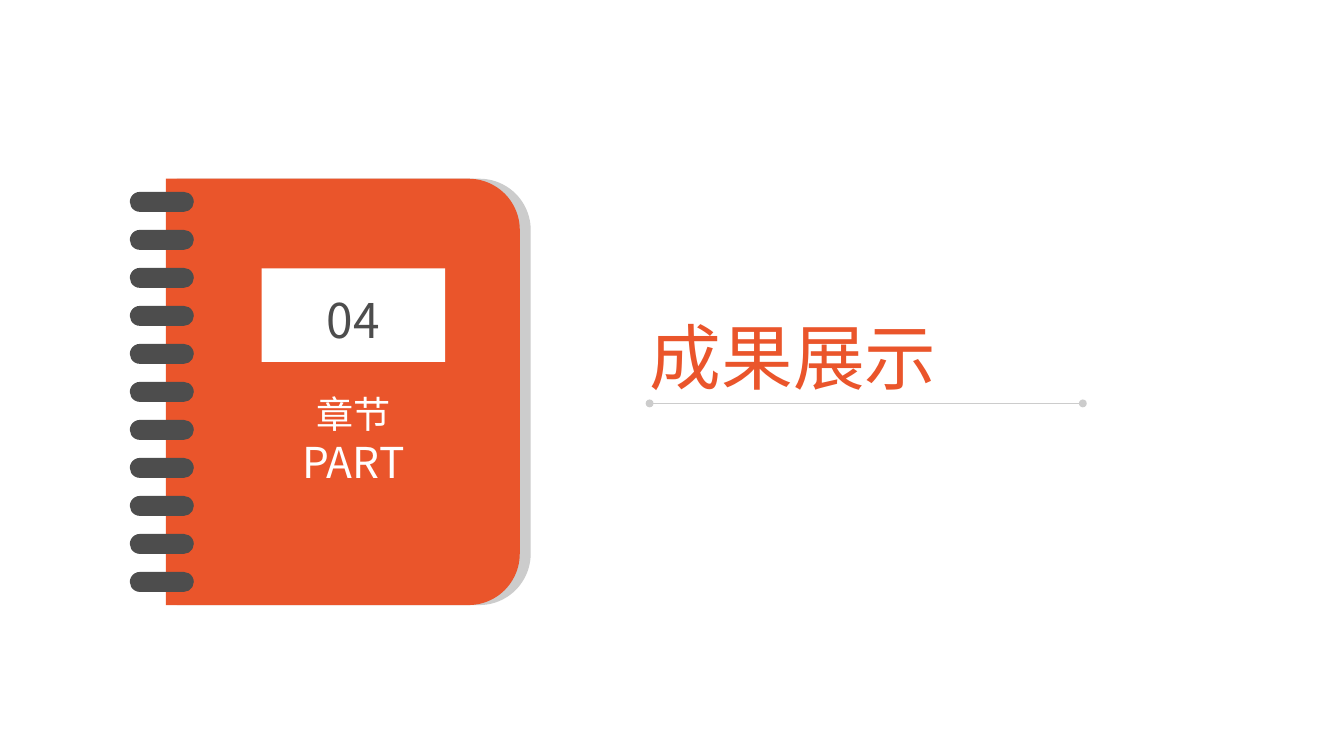
from dataclasses import dataclass

from lxml.etree import SubElement
from pptx import Presentation
from pptx.dml.color import RGBColor
from pptx.enum.shapes import MSO_CONNECTOR, MSO_SHAPE
from pptx.enum.text import MSO_ANCHOR, MSO_AUTO_SIZE, PP_ALIGN
from pptx.oxml.ns import qn
from pptx.util import Cm, Pt


@dataclass(frozen=True)
class Theme:
    orange: RGBColor = RGBColor(0xEA, 0x55, 0x2B)
    gray: RGBColor = RGBColor(0xCC, 0xCC, 0xCC)
    dark: RGBColor = RGBColor(0x4D, 0x4D, 0x4D)
    white: RGBColor = RGBColor(0xFF, 0xFF, 0xFF)
    font: str = "Noto Sans CJK SC"
    title_size: int = 54
    number_size: int = 36
    chapter_size: int = 28
    part_size: int = 32


theme = Theme()


def add_filled(kind, left, top, width, height, color):
    shape = slide.shapes.add_shape(kind, Cm(left), Cm(top), Cm(width), Cm(height))
    shape.shadow.inherit = False
    shape.fill.solid()
    shape.fill.fore_color.rgb = color
    shape.line.fill.background()
    return shape


def write_text(shape, lines, color, alignment):
    frame = shape.text_frame
    frame.word_wrap = True
    frame.auto_size = MSO_AUTO_SIZE.NONE
    frame.vertical_anchor = MSO_ANCHOR.MIDDLE
    frame.margin_left = frame.margin_right = frame.margin_top = frame.margin_bottom = 0
    for index, (text, size) in enumerate(lines):
        paragraph = frame.add_paragraph() if index else frame.paragraphs[0]
        paragraph.alignment = alignment
        paragraph.line_spacing = 1.0
        paragraph.space_before = Pt(0)
        run = paragraph.add_run()
        run.text = text
        run.font.size = Pt(size)
        run.font.name = theme.font
        run.font.color.rgb = color
        SubElement(run.font._element, qn("a:ea")).set("typeface", theme.font)


presentation = Presentation()
presentation.slide_width = Cm(35.71)
presentation.slide_height = Cm(20.09)
slide = presentation.slides.add_slide(presentation.slide_layouts[5])

underline = slide.shapes.add_connector(
    MSO_CONNECTOR.STRAIGHT, Cm(17.26), Cm(10.72), Cm(28.77), Cm(10.72)
)
underline.line.color.rgb = theme.gray
underline.line.width = Pt(1)
line_properties = underline.line._get_or_add_ln()
for end in ("a:headEnd", "a:tailEnd"):
    SubElement(line_properties, qn(end)).set("type", "oval")
SubElement(underline._element.spPr, qn("a:effectLst"))

title = slide.shapes.title
title.left, title.top, title.width, title.height = Cm(17.26), Cm(8.3), Cm(12.42), Cm(2.32)
write_text(title, [("成果展示", theme.title_size)], theme.orange, PP_ALIGN.LEFT)

cover_width, cover_height, cover_top = 9.4, 11.33, 4.75
turn_offset = (cover_height - cover_width) / 2
for cover_left, color in ((4.7, theme.gray), (4.41, theme.orange)):
    cover = add_filled(
        MSO_SHAPE.ROUND_2_SAME_RECTANGLE,
        cover_left - turn_offset, cover_top + turn_offset,
        cover_height, cover_width, color,
    )
    cover.rotation = 90
    cover.adjustments[0] = 0.145
    cover.adjustments[1] = 0

number_label = add_filled(MSO_SHAPE.RECTANGLE, 6.95, 7.13, 4.88, 2.49, theme.white)

ring_count, ring_top, ring_pitch = 11, 5.1, 1.01
for index in range(ring_count):
    ring = add_filled(
        MSO_SHAPE.ROUNDED_RECTANGLE,
        3.45, ring_top + index * ring_pitch, 1.7, 0.53, theme.dark,
    )
    ring.adjustments[0] = 0.5

number_box = slide.shapes.add_textbox(Cm(7.09), Cm(7.72), Cm(4.6), Cm(1.55))
write_text(number_box, [("04", theme.number_size)], theme.dark, PP_ALIGN.CENTER)

chapter_box = slide.shapes.add_textbox(Cm(7.46), Cm(10.26), Cm(3.86), Cm(2.84))
chapter_lines = [("章节", theme.chapter_size), ("PART", theme.part_size)]
write_text(chapter_box, chapter_lines, theme.white, PP_ALIGN.CENTER)

presentation.save("out.pptx")
